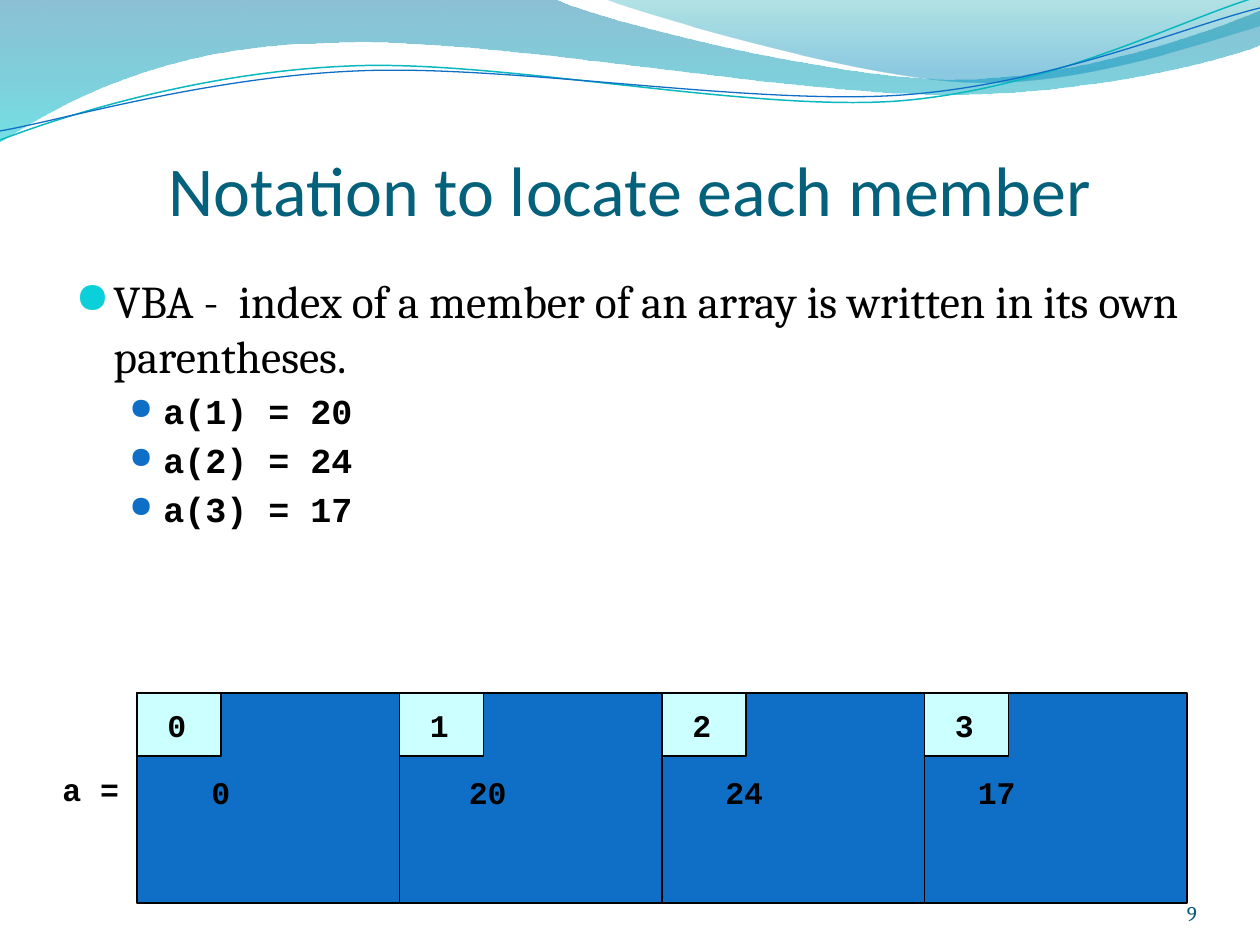
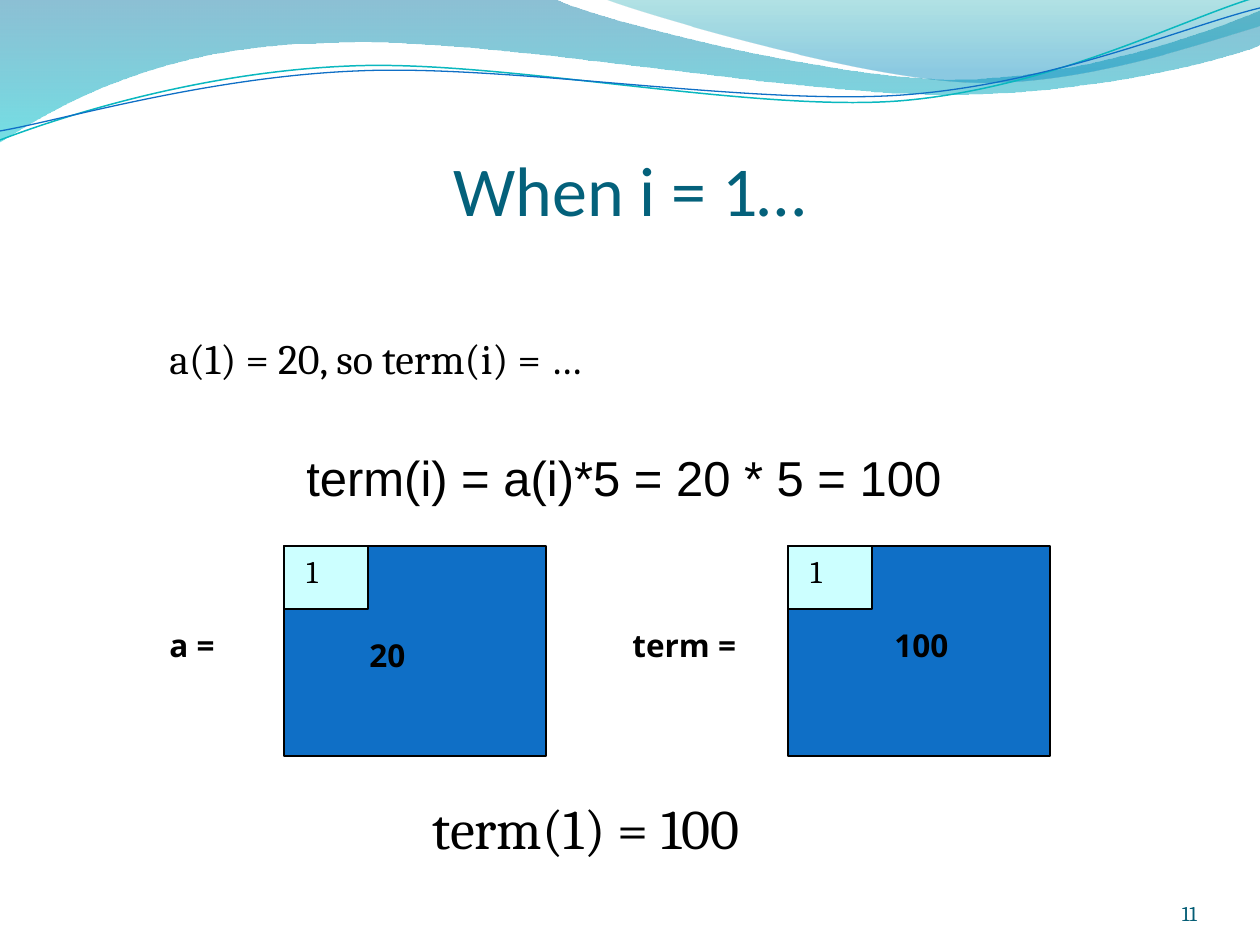
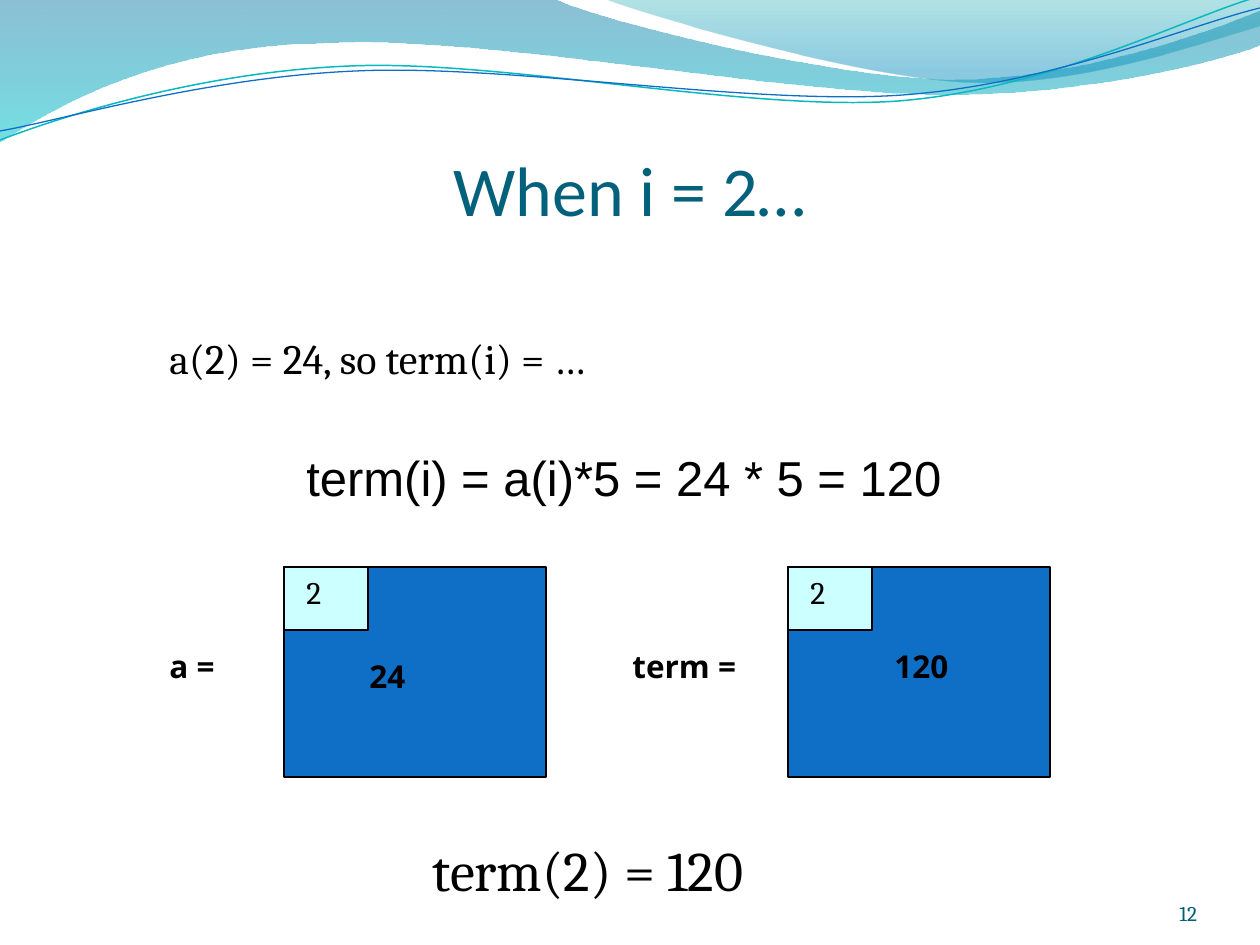
import dataclasses
import pptx
import pptx.util
import pptx.dml.color
import pptx.enum.text
import pptx.enum.shapes
import lxml.etree

SCALE = 9144000 / 1260
ALIGN = pptx.enum.text.PP_ALIGN
ANCHOR = pptx.enum.text.MSO_ANCHOR
FIT = pptx.enum.text.MSO_AUTO_SIZE


@dataclasses.dataclass(frozen=True)
class Theme:
    ink: str = "000000"
    title: str = "04617B"
    number: str = "045D75"
    cell: str = "0F6FC6"
    tag: str = "CCFFFF"
    dot: str = "0BD0D9"
    teal: str = "0AB8BF"
    band: tuple = ((0, "0074A1", 45), (1, "00C6CF", 55))
    gleam: tuple = ((0, "00A1A9", 30), (0.8, "008BBF", 45))
    head: str = "Calibri"
    serif: str = "Cambria"
    mono: str = "Courier New"
    sans: str = "Noto Sans"
    plain: str = "Arial"
    symbol: str = "OpenSymbol"
    huge: int = 40
    large: int = 32
    big: int = 28
    lead: int = 26
    mid: int = 24
    code: int = 20
    base: int = 18
    small: int = 12
    thin: float = 0.75


LOOK = Theme()


def px(value):
    return pptx.util.Emu(round(value * SCALE))


def rgb(code):
    return pptx.dml.color.RGBColor.from_string(code)


def tag(node, name):
    return f"{{{node.nsmap['a']}}}{name}"


def add(node, name, **values):
    return lxml.etree.SubElement(node, tag(node, name), **values)


def style(para, text, font=LOOK.serif, size=LOOK.base, color=LOOK.ink,
          bold=False, align=ALIGN.LEFT):
    para.alignment = align
    run = para.add_run()
    run.text = text
    run.font.name = font
    run.font.size = pptx.util.Pt(size)
    run.font.bold = bold
    run.font.color.rgb = rgb(color)


def write(slide, box, text, inset=None, anchor=ANCHOR.TOP,
          wrap=True, grow=True, **form):
    shape = slide.shapes.add_textbox(*map(px, box))
    frame = shape.text_frame
    frame.word_wrap = wrap
    frame.auto_size = FIT.SHAPE_TO_FIT_TEXT if grow else FIT.NONE
    frame.vertical_anchor = anchor
    if inset:
        (frame.margin_left, frame.margin_top,
         frame.margin_right, frame.margin_bottom) = map(px, inset)
    if text:
        style(frame.paragraphs[0], text, **form)
    return frame


def bullet(para, text, left, hang, color, ratio, gap, **form):
    style(para, text, **form)
    para.space_before = pptx.util.Pt(gap)
    props = para._p.get_or_add_pPr()
    props.set("marL", str(px(left)))
    props.set("indent", str(px(-hang)))
    add(add(props, "buClr"), "srgbClr", val=color)
    add(props, "buSzPct", val=str(ratio * 1000))
    add(props, "buFont", typeface=LOOK.symbol)
    add(props, "buChar", char="●")


def outline(slide, steps, close):
    spots = [(px(x), px(y)) for step in steps
             for x, y in zip(step[::2], step[1::2])]
    draft = slide.shapes.build_freeform(*spots[0], scale=1.0)
    draft.add_line_segments(spots[1:], close=close)
    shape = draft.convert_to_shape()
    shape.shadow.inherit = False
    lines = iter(list(shape.element.iter(tag(shape.element, "lnTo"))))
    for step in steps[1:]:
        first = next(lines)
        if len(step) == 6:
            curve = lxml.etree.Element(tag(first, "cubicBezTo"))
            first.addprevious(curve)
            for line in (first, next(lines), next(lines)):
                curve.append(line[0])
                line.getparent().remove(line)
    return shape


def sweep(slide, steps, stops):
    shape = outline(slide, steps, True)
    shape.line.fill.background()
    shape.fill.gradient()
    shape.fill.gradient_angle = 270
    for stop, (place, color, _) in zip(shape.fill.gradient_stops, stops):
        stop.position = place
        stop.color.rgb = rgb(color)
    nodes = shape.element.iter(tag(shape.element, "srgbClr"))
    for node, (_, _, alpha) in zip(nodes, stops):
        add(node, "alpha", val=str(alpha * 1000))
    return shape


def strand(slide, steps, color, width):
    shape = outline(slide, steps, False)
    shape.fill.background()
    shape.line.color.rgb = rgb(color)
    shape.line.width = pptx.util.Pt(width)
    return shape


BAND = ((0, 0), (554, -1), (600, 21, 837, 79, 955, 79),
        (1075, 79, 1207, 33, 1260, 11), (1261, 45),
        (1239, 55, 1096, 96, 940, 94), (781, 94, 481, 35, 324, 43),
        (163, 45, 58, 105, -1, 142))
GLEAM = ((604, -1), (641, 14, 859, 78, 969, 82),
         (1079, 87, 1211, 40, 1260, 26), (1260, 0))
UPPER = ((0, 140), (60, 117, 199, 72, 349, 66),
         (498, 59, 747, 112, 898, 101), (1050, 89, 1182, 19, 1257, -3))
LOWER = ((0, 131), (59, 121, 207, 77, 357, 71),
         (508, 64, 752, 106, 903, 95), (1053, 84, 1186, 26, 1260, 8))


def waves(slide):
    home = slide.slide_layout.shapes.element
    for shape in (sweep(slide, BAND, LOOK.band),
                  sweep(slide, GLEAM, LOOK.gleam),
                  strand(slide, UPPER, LOOK.teal, 0.85),
                  strand(slide, LOOK and LOWER, LOOK.cell, LOOK.thin)):
        home.append(shape.element)


def base(deck, title, number):
    slide = deck.slides.add_slide(deck.slide_layouts[6])
    if len(deck.slides) == 1:
        waves(slide)
    write(slide, (63, 125, 1134, 105), title, inset=(0, 6, 0, 0),
          anchor=ANCHOR.BOTTOM, grow=False, font=LOOK.head, size=LOOK.huge,
          color=LOOK.title, align=ALIGN.CENTER)
    write(slide, (1092, 876, 105, 50), number, inset=(0, 0, 0, 0),
          anchor=ANCHOR.BOTTOM, grow=False, size=LOOK.small,
          color=LOOK.number, align=ALIGN.RIGHT)
    return slide


def block(slide, box, color):
    shape = slide.shapes.add_shape(
        pptx.enum.shapes.MSO_SHAPE.RECTANGLE, *map(px, box))
    shape.shadow.inherit = False
    shape.fill.solid()
    shape.fill.fore_color.rgb = rgb(color)
    shape.line.color.rgb = rgb(LOOK.ink)
    shape.line.width = pptx.util.Pt(LOOK.thin)


def cell(slide, box, index, value, shift, spot, form, mark):
    left, top, _, _ = box
    block(slide, box, LOOK.cell)
    write(slide, (left + spot[0], top + spot[1], 126, 50), value, **form)
    block(slide, (left, top, 84, 63), LOOK.tag)
    write(slide, (left + shift[0], top + shift[1], 84, 50), index, **mark)


def points(slide, box, lead, items):
    frame = write(slide, box, "", grow=False)
    bullet(frame.paragraphs[0], lead, 38, 38, LOOK.dot, 95, 5, size=LOOK.lead)
    for item in items:
        bullet(frame.add_paragraph(), item, 88, 34, LOOK.cell, 85, 4,
               font=LOOK.mono, size=LOOK.code, bold=True)


def array(slide, box, values, insets):
    left, top, width, height = box
    form = dict(font=LOOK.mono, bold=True)
    wide = width / len(values)
    write(slide, (left - 87, top + 71, 126, 50), "a =", **form)
    for i, (value, inset) in enumerate(zip(values, insets)):
        cell(slide, (left + i * wide, top, wide, height), str(i), str(value),
             (18, 7), (inset, 74), form, form)


def term(slide, box, index, value, drop):
    left, top, _, height = box
    total = value * 5
    form = dict(font=LOOK.sans, bold=True)
    write(slide, (left, 326, 903, 63), f"a({index}) = {value}, so term(i) = …",
          size=LOOK.mid)
    write(slide, (left + 137, 441, 693, 72),
          f"term(i) = a(i)*5 = {value} * 5 = {total}",
          font=LOOK.plain, size=LOOK.big)
    parts = (("a =", 0, 126, 127, value, (73, 84)),
             ("term =", 463, 210, 631, total, (94, 74)))
    for label, start, wide, shift, amount, spot in parts:
        write(slide, (left + start, top + 74, wide, 63), label, **form)
        cell(slide, (left + shift, top, 262, height), str(index), str(amount),
             (10, 0), spot, form, {})
    write(slide, (left + 263, top + height + drop, 340, 79),
          f"term({index}) = {total}", wrap=False, size=LOOK.large)


deck = pptx.Presentation()
deck.slide_width = px(1260)
deck.slide_height = px(945)

slide = base(deck, "Notation to locate each member", "9")
points(slide, (63, 267, 1134, 605),
       "VBA -  index of a member of an array is written in its own parentheses.",
       [f"a({i}) = {n}" for i, n in enumerate((20, 24, 17), 1)])
array(slide, (137, 693, 1050, 210), (0, 20, 24, 17), (62, 57, 51, 41))

for index, value, number, top, drop in (
        (1, 20, "11", 546, 31), (2, 24, "12", 567, 52)):
    slide = base(deck, f"When i = {index}…", number)
    term(slide, (157, top, 893, 210), index, value, drop)

deck.save("out.pptx")
